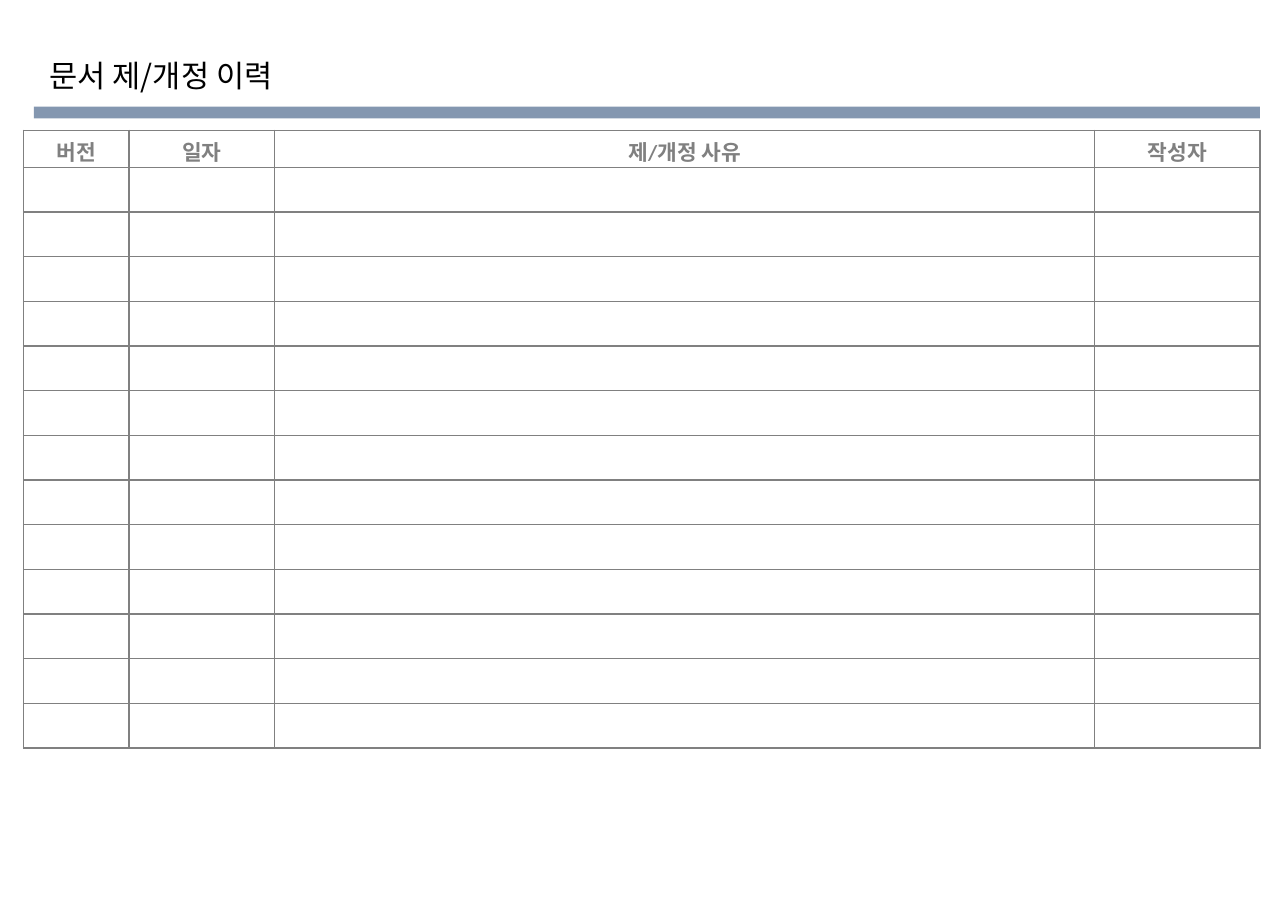
from pptx import Presentation
from pptx.dml.color import RGBColor
from pptx.enum.shapes import MSO_SHAPE as Shape
from pptx.enum.text import MSO_ANCHOR as Anchor, PP_ALIGN as Align
from pptx.oxml import parse_xml
from pptx.oxml.ns import nsdecls
from pptx.util import Pt

BLACK = RGBColor(0x00, 0x00, 0x00)
GRAY = RGBColor(0x80, 0x80, 0x80)
BLUE_GRAY = RGBColor(0x84, 0x97, 0xB0)
KOREAN_FONT = "Noto Sans CJK KR"

HEADINGS = ["버전", "일자", "제/개정 사유", "작성자"]
COLUMN_WIDTHS = [69, 95.2, 535.8, 108]
HEADER_HEIGHT = 24.2
ROW_HEIGHT = 29.2
BLANK_ROWS = 13


def write(frame, text, *, size, color, font=KOREAN_FONT, bold=False, align=Align.LEFT):
    para = frame.paragraphs[0]
    para.alignment = align
    span = para.add_run()
    span.text = text
    span.font.size = Pt(size)
    span.font.bold = bold
    span.font.name = font
    span.font.color.rgb = color
    east_asian = parse_xml(f'<a:ea {nsdecls("a")} typeface="{KOREAN_FONT}"/>')
    span.font._element.find("{*}latin").addnext(east_asian)


def set_borders(cell, color, width):
    properties = cell._tc.get_or_add_tcPr()
    for position, side in enumerate("LRTB"):
        properties.insert(position, parse_xml(
            f'<a:ln{side} {nsdecls("a")} w="{Pt(width)}"><a:solidFill>'
            f'<a:srgbClr val="{color}"/></a:solidFill></a:ln{side}>'))


class HistoryPage:
    def __init__(self, deck):
        self.page = deck.slides.add_slide(deck.slide_layouts[6])
        self.line_color = GRAY
        self.line_width = 1

    def bar(self, left, top, width, height):
        bar = self.page.shapes.add_shape(
            Shape.RECTANGLE, Pt(left), Pt(top), Pt(width), Pt(height))
        bar.shadow.inherit = False
        bar.fill.solid()
        bar.fill.fore_color.rgb = BLUE_GRAY
        bar.line.fill.background()

    def title(self, text, left, top, width, height):
        box = self.page.shapes.add_textbox(Pt(left), Pt(top), Pt(width), Pt(height))
        frame = box.text_frame
        frame.word_wrap = True
        frame.vertical_anchor = Anchor.MIDDLE
        frame.margin_top = frame.margin_bottom = 0
        write(frame, text, size=20, color=BLACK)

    def table(self, left, top):
        heights = [HEADER_HEIGHT] + [ROW_HEIGHT] * BLANK_ROWS
        table = self.page.shapes.add_table(
            len(heights), len(COLUMN_WIDTHS), Pt(left), Pt(top),
            Pt(sum(COLUMN_WIDTHS)), Pt(sum(heights))).table
        table.horz_banding = False
        for column, width in zip(table.columns, COLUMN_WIDTHS):
            column.width = Pt(width)
        for row, height in zip(table.rows, heights):
            row.height = Pt(height)
        for cell in table.iter_cells():
            cell.margin_top, cell.margin_bottom = Pt(3.6), 0
            cell.fill.background()
            set_borders(cell, self.line_color, self.line_width)
        for cell, heading in zip(table.rows[0].cells, HEADINGS):
            write(cell.text_frame, heading, size=14, color=GRAY,
                  font="Calibri", bold=True, align=Align.CENTER)


def main():
    deck = Presentation()
    deck.slide_width, deck.slide_height = Pt(841.68), Pt(595.44)
    history = HistoryPage(deck)
    history.bar(22.2, 69.8, 801.2, 7.6)
    history.title("문서 제/개정 이력", 25.2, 33.1, 674.6, 31.7)
    history.table(15.4, 85.2)
    deck.save("out.pptx")


if __name__ == "__main__":
    main()
